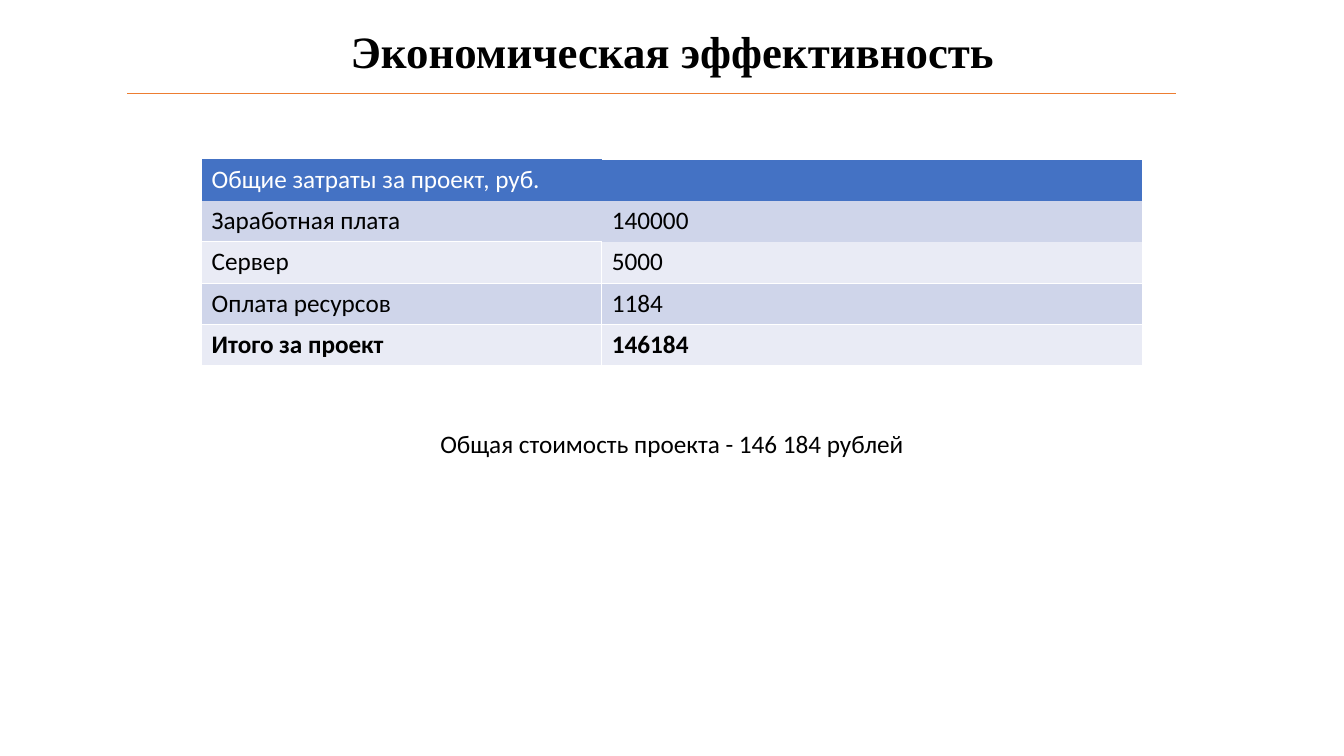
from dataclasses import dataclass

import pptx
import pptx.dml.color
import pptx.enum.shapes
import pptx.enum.text
import pptx.oxml
import pptx.oxml.ns
import pptx.util

Inches = pptx.util.Inches
Pt = pptx.util.Pt
PP_ALIGN = pptx.enum.text.PP_ALIGN
MSO_ANCHOR = pptx.enum.text.MSO_ANCHOR


@dataclass(frozen=True)
class Theme:
    ink: str = "000000"
    paper: str = "FFFFFF"
    header: str = "4472C4"
    bands: tuple = ("CFD5EA", "E9EBF5")
    accent: str = "ED7D31"
    heading_font: str = "Times New Roman"
    body_font: str = "Calibri"
    heading_size: int = 32
    body_size: int = 18


def rgb(value):
    return pptx.dml.color.RGBColor.from_string(value)


class SlideBuilder:
    def __init__(self, theme, slide):
        self.theme = theme
        self.slide = slide

    def add_words(self, paragraph, words, color, **formats):
        run = paragraph.add_run()
        run.text = words
        values = {
            "name": self.theme.body_font,
            "size": Pt(self.theme.body_size),
            "bold": False,
        } | formats
        for attribute, value in values.items():
            setattr(run.font, attribute, value)
        run.font.color.rgb = rgb(color)

    def text(self, content, box, anchor=MSO_ANCHOR.TOP, spacing=1.0, **formats):
        frame = self.slide.shapes.add_textbox(*map(Inches, box)).text_frame
        for attribute, value in {"word_wrap": True, "vertical_anchor": anchor}.items():
            setattr(frame, attribute, value)
        paragraph = frame.paragraphs[0]
        for attribute, value in {"alignment": PP_ALIGN.CENTER, "line_spacing": spacing}.items():
            setattr(paragraph, attribute, value)
        self.add_words(paragraph, content, self.theme.ink, **formats)

    def line(self, *ends):
        rule = self.slide.shapes.add_connector(
            pptx.enum.shapes.MSO_CONNECTOR.STRAIGHT, *map(Inches, ends))
        rule.line.color.rgb = rgb(self.theme.accent)
        rule.line.width = Pt(0.5)
        rule._element.spPr.append(pptx.oxml.parse_xml(
            f'<a:effectLst {pptx.oxml.ns.nsdecls("a")}/>'))

    def borders(self, cell, drawn):
        properties = cell._tc.get_or_add_tcPr()
        solid = f'<a:solidFill><a:srgbClr val="{self.theme.paper}"/></a:solidFill>'
        for position, side in enumerate("LRTB"):
            paint = solid if side in drawn else "<a:noFill/>"
            properties.insert(position, pptx.oxml.parse_xml(
                f'<a:ln{side} {pptx.oxml.ns.nsdecls("a")} w="{Pt(1)}">{paint}</a:ln{side}>'))

    def table(self, rows, left, top, widths, row_height, edges):
        table = self.slide.shapes.add_table(
            len(rows), len(widths), Inches(left), Inches(top),
            Inches(sum(widths)), Inches(row_height * len(rows))).table
        for column, width in zip(table.columns, widths):
            column.width = Inches(width)
        last = len(rows) - 1
        for r, row in enumerate(rows):
            table.rows[r].height = Inches(row_height)
            fill = self.theme.bands[(r - 1) % 2] if r else self.theme.header
            color = self.theme.ink if r else self.theme.paper
            for c, content in enumerate(row):
                cell = table.cell(r, c)
                cell.fill.solid()
                cell.fill.fore_color.rgb = rgb(fill)
                self.borders(cell, edges.get((r, c), "LRTB"))
                if content:
                    self.add_words(cell.text_frame.paragraphs[0], content, color, bold=r == last)


def main():
    deck = pptx.Presentation()
    deck.slide_width = Inches(13.33)
    deck.slide_height = Inches(7.5)
    theme = Theme()
    page = SlideBuilder(theme, deck.slides.add_slide(deck.slide_layouts[6]))

    page.text("Экономическая эффективность", (0.92, 0.19, 11.5, 0.7),
              anchor=MSO_ANCHOR.MIDDLE, spacing=0.9, name=theme.heading_font,
              size=Pt(theme.heading_size), bold=True)
    costs = [
        ("Общие затраты за проект, руб.", ""),
        ("Заработная плата", "140000"),
        ("Сервер", "5000"),
        ("Оплата ресурсов", "1184"),
        ("Итого за проект", "146184"),
    ]
    edges = {(0, 0): "", (0, 1): "TR", (1, 0): "LB", (1, 1): "", (2, 1): "LRB"}
    page.table(costs, 2, 1.58, (3.97, 5.36), 0.41, edges)
    page.text("Общая стоимость проекта - 146 184 рублей", (3.33, 4.2, 6.67, 0.4))
    page.line(1.26, 0.93, 11.66, 0.93)
    deck.save("out.pptx")


if __name__ == "__main__":
    main()
